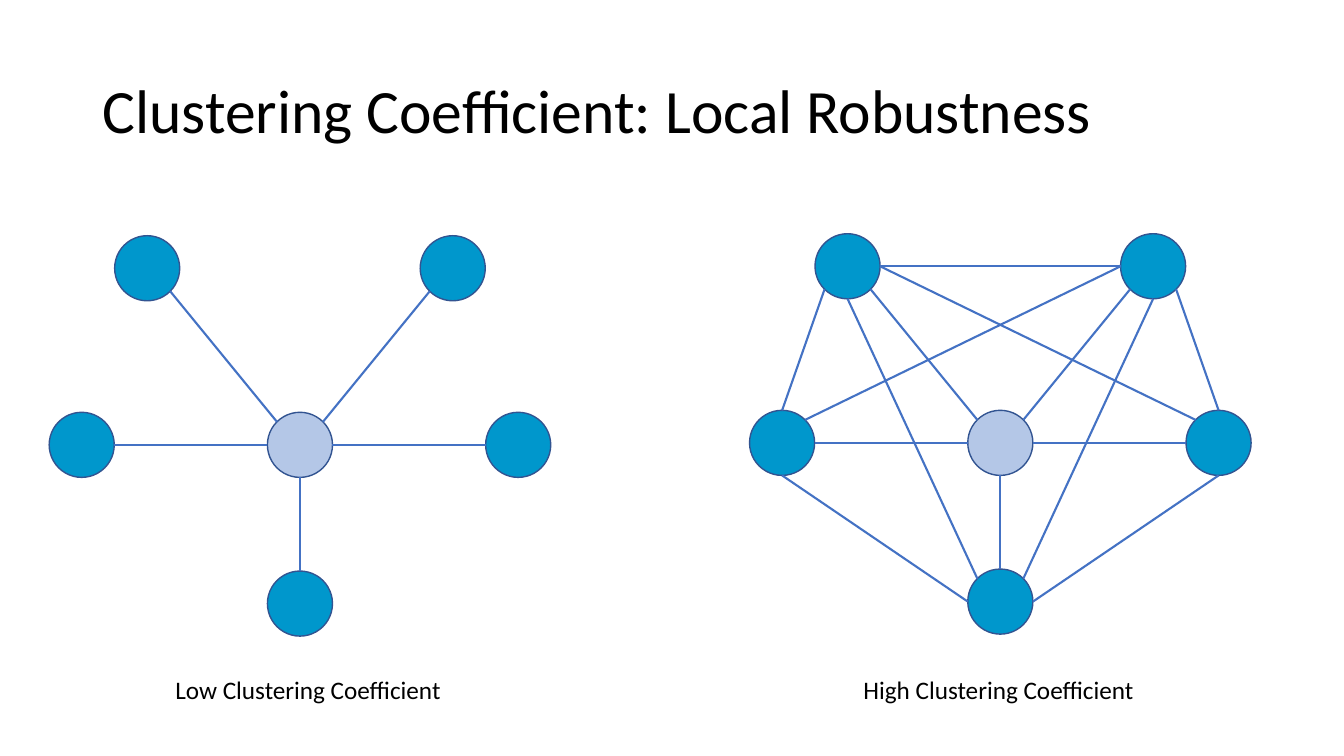
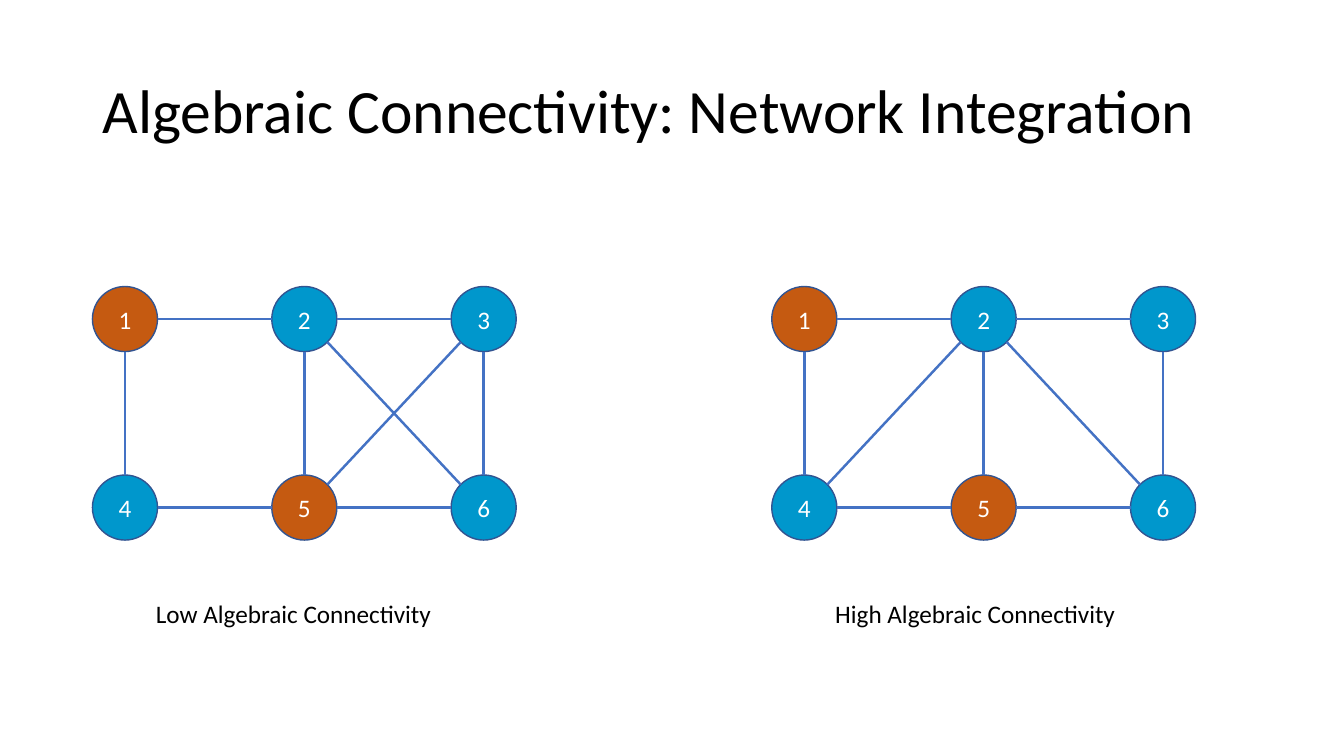
from dataclasses import dataclass
from enum import IntEnum
from math import cos, radians, sin

from lxml import etree
from pptx import Presentation
from pptx.dml.color import RGBColor
from pptx.enum import shapes, text
from pptx.oxml import ns
from pptx.util import Cm, Pt


@dataclass(frozen=True)
class Theme:
    font: str = "Calibri"
    ink: RGBColor = RGBColor(0x00, 0x00, 0x00)
    node_text: RGBColor = RGBColor(0xFF, 0xFF, 0xFF)
    node: RGBColor = RGBColor(0x00, 0x97, 0xCC)
    hub: RGBColor = RGBColor(0xB4, 0xC7, 0xE7)
    highlight: RGBColor = RGBColor(0xC5, 0x5A, 0x11)
    outline: RGBColor = RGBColor(0x32, 0x54, 0x91)
    link: RGBColor = RGBColor(0x44, 0x72, 0xC4)
    title_size: float = 44
    body_size: float = 18
    outline_width: float = 1
    diameter: float = 1.64


THEME = Theme()


class Site(IntEnum):
    """Connection sites of an ellipse, counter-clockwise from the top."""
    N = 0
    NW = 1
    W = 2
    SW = 3
    S = 4
    SE = 5
    E = 6
    NE = 7


@dataclass(frozen=True)
class Node:
    """A circle; x and y are its centre in cm from the network's origin."""
    x: float
    y: float
    fill: RGBColor = THEME.node
    label: str = ""


@dataclass(frozen=True)
class Link:
    """A line between two nodes; it arrives opposite its leaving site by default."""
    start: str
    leave: Site
    end: str
    arrive: Site | None = None


@dataclass(frozen=True)
class Network:
    x: float
    y: float
    nodes: dict[str, Node]
    links: list[Link]
    link_width: float
    caption: str
    caption_x: float
    caption_y: float
    caption_width: float = 7.98


STAR_NODES = {
    "hub": Node(0, 0, THEME.hub),
    "west": Node(-5.5, 0),
    "northeast": Node(3.85, -4.45),
    "east": Node(5.5, 0),
    "northwest": Node(-3.85, -4.45),
    "south": Node(0, 4),
}
SPOKES = [
    Link("northwest", Site.SE, "hub"),
    Link("northeast", Site.SW, "hub"),
    Link("west", Site.E, "hub"),
    Link("hub", Site.S, "south"),
    Link("hub", Site.E, "east"),
]
NEIGHBOUR_LINKS = [
    Link("northwest", Site.SW, "west", Site.N),
    Link("west", Site.S, "south", Site.W),
    Link("east", Site.S, "south", Site.E),
    Link("northeast", Site.SE, "east", Site.N),
    Link("northwest", Site.E, "northeast"),
    Link("northwest", Site.E, "east", Site.NW),
    Link("northwest", Site.S, "south", Site.NW),
    Link("northeast", Site.S, "south", Site.NE),
    Link("west", Site.NE, "northeast", Site.W),
]

COLUMN_STEP, ROW_STEP, COLUMNS = 4.52, 4.75, 3
GRID_NODES = {
    str(i + 1): Node(
        i % COLUMNS * COLUMN_STEP,
        i // COLUMNS * ROW_STEP,
        THEME.highlight if i + 1 in (1, 5) else THEME.node,
        str(i + 1),
    )
    for i in range(2 * COLUMNS)
}
GRID_LINKS = [
    Link("1", Site.E, "2"),
    Link("2", Site.E, "3"),
    Link("2", Site.S, "5"),
    Link("3", Site.S, "6"),
    Link("5", Site.E, "6"),
    Link("2", Site.SE, "6"),
    Link("1", Site.S, "4"),
    Link("4", Site.E, "5"),
]

DECK = {
    "Clustering Coefficient: Local Robustness": [
        Network(7.56, 11.21, STAR_NODES, SPOKES, 1.5,
                "Low Clustering Coefficient", 4.17, 16.87),
        Network(25.21, 11.16, STAR_NODES, SPOKES + NEIGHBOUR_LINKS, 1.5,
                "High Clustering Coefficient", 21.51, 16.87, 7.54),
    ],
    "Algebraic Connectivity: Network Integration": [
        Network(3.15, 8.04, GRID_NODES, GRID_LINKS + [Link("3", Site.SW, "5")], 1.75,
                "Low Algebraic Connectivity", 3.68, 14.96),
        Network(20.27, 8.04, GRID_NODES, GRID_LINKS + [Link("2", Site.SW, "4")], 1.75,
                "High Algebraic Connectivity", 20.8, 14.96),
    ],
}


def format_text(paragraph, size: float, color: RGBColor, align=text.PP_ALIGN.LEFT) -> None:
    paragraph.alignment = align
    paragraph.font.name = THEME.font
    paragraph.font.size = Pt(size)
    paragraph.font.color.rgb = color


def set_title(slide, wording: str) -> None:
    title = slide.shapes.title
    title.left, title.top, title.width, title.height = Cm(2.33), Cm(1.01), Cm(29.21), Cm(3.68)
    frame = title.text_frame
    frame.text = wording
    frame.auto_size = text.MSO_AUTO_SIZE.NONE
    frame.vertical_anchor = text.MSO_ANCHOR.MIDDLE
    frame.paragraphs[0].line_spacing = 0.9
    format_text(frame.paragraphs[0], THEME.title_size, THEME.ink)


def draw_node(slide, network: Network, node: Node):
    radius = THEME.diameter / 2
    circle = slide.shapes.add_shape(
        shapes.MSO_SHAPE.OVAL,
        Cm(network.x + node.x - radius), Cm(network.y + node.y - radius),
        Cm(THEME.diameter), Cm(THEME.diameter))
    circle.shadow.inherit = False
    circle.fill.solid()
    circle.fill.fore_color.rgb = node.fill
    circle.line.color.rgb = THEME.outline
    circle.line.width = Pt(THEME.outline_width)
    if node.label:
        frame = circle.text_frame
        frame.text = node.label
        frame.vertical_anchor = text.MSO_ANCHOR.MIDDLE
        format_text(frame.paragraphs[0], THEME.body_size, THEME.node_text,
                    text.PP_ALIGN.CENTER)
    return circle


def site_point(network: Network, node: Node, site: Site) -> tuple[Cm, Cm]:
    angle, radius = radians(45 * site), THEME.diameter / 2
    return (Cm(network.x + node.x - radius * sin(angle)),
            Cm(network.y + node.y - radius * cos(angle)))


def draw_link(slide, network: Network, link: Link, circles: dict) -> None:
    """Draw a line glued to its two circles, using all eight ellipse sites."""
    arrive = Site((link.leave + 4) % 8) if link.arrive is None else link.arrive
    line = slide.shapes.add_connector(
        shapes.MSO_CONNECTOR.STRAIGHT,
        *site_point(network, network.nodes[link.start], link.leave),
        *site_point(network, network.nodes[link.end], arrive))
    line.line.color.rgb = THEME.link
    line.line.width = Pt(network.link_width)
    etree.SubElement(line.element.spPr, ns.qn("a:effectLst"))
    glue = line.element.find(".//" + ns.qn("p:cNvCxnSpPr"))
    for tag, name, site in (("a:stCxn", link.start, link.leave),
                            ("a:endCxn", link.end, arrive)):
        etree.SubElement(glue, ns.qn(tag), id=str(circles[name].shape_id),
                         idx=str(int(site)))


def draw_network(slide, network: Network) -> None:
    circles = {name: draw_node(slide, network, node) for name, node in network.nodes.items()}
    for link in network.links:
        draw_link(slide, network, link, circles)
    caption = slide.shapes.add_textbox(
        Cm(network.caption_x), Cm(network.caption_y), Cm(network.caption_width), Cm(1.03))
    frame = caption.text_frame
    frame.word_wrap = True
    frame.text = network.caption
    format_text(frame.paragraphs[0], THEME.body_size, THEME.ink)


def main() -> None:
    deck = Presentation()
    deck.slide_width, deck.slide_height = Cm(33.87), Cm(19.05)
    title_only = deck.slide_layouts.get_by_name("Title Only")
    for title, networks in DECK.items():
        slide = deck.slides.add_slide(title_only)
        set_title(slide, title)
        for network in networks:
            draw_network(slide, network)
    deck.save("out.pptx")


if __name__ == "__main__":
    main()
